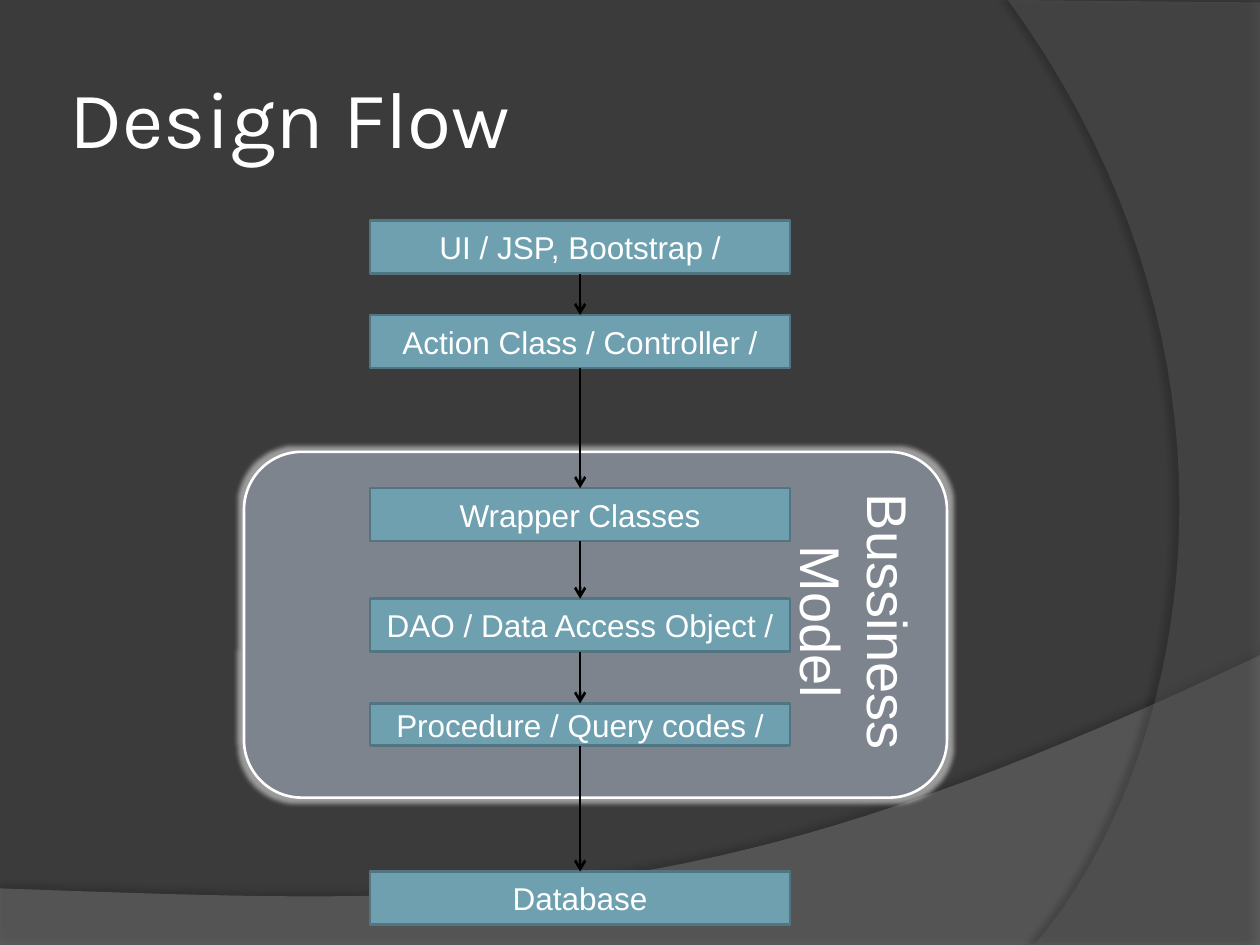
from lxml.etree import SubElement
from pptx import Presentation
from pptx.dml.color import RGBColor
from pptx.enum.shapes import MSO_CONNECTOR, MSO_SHAPE
from pptx.enum.text import MSO_ANCHOR, MSO_AUTO_SIZE, PP_ALIGN
from pptx.oxml.ns import qn
from pptx.util import Cm, Pt

WHITE = RGBColor(0xFF, 0xFF, 0xFF)
BLACK = RGBColor(0, 0, 0)
DARK = RGBColor(0x3B, 0x3B, 0x3B)
WAVE = RGBColor(0x7F, 0x7F, 0x7F)
ARC = RGBColor(0x5E, 0x5E, 0x5E)
TEAL = RGBColor(0x6E, 0xA0, 0xB0)
EDGE = RGBColor(0x51, 0x76, 0x82)
SLATE = RGBColor(0x7E, 0x84, 0x8D)

LEFT, WIDTH, HIGH = 7.46, 8.47, 1.07
# Label, top and height of each step, in cm
STEPS = [
    ("UI / JSP, Bootstrap /", 4.45, HIGH),
    ("Action Class / Controller /", 6.35, HIGH),
    ("Wrapper Classes", 9.84, HIGH),
    ("DAO / Data Access Object /", 12.07, HIGH),
    ("Procedure / Query codes /", 14.18, 0.85),
    ("Database", 17.57, HIGH),
]


def add_effect(shape, kind, color, alpha, **attrs):
    """Give the shape one glow or shadow."""
    shape.shadow.inherit = False
    effects = shape._element.spPr.find(qn("a:effectLst"))
    effect = SubElement(effects, qn(f"a:{kind}"), attrs)
    tint = SubElement(effect, qn("a:srgbClr"), val=str(color))
    SubElement(tint, qn("a:alpha"), val=str(alpha * 1000))


def curve(p0, p1, p2, p3, count=40):
    """Points along a cubic curve."""
    points = []
    for step in range(count + 1):
        t = step / count
        u = 1 - t
        points.append(tuple(
            u**3 * a + 3 * u * u * t * b + 3 * u * t * t * c + t**3 * d
            for a, b, c, d in zip(p0, p1, p2, p3)))
    return points


def add_sweep(slide, points, color, alpha, shade, dist, angle):
    """Draw a translucent background shape."""
    start, *rest = [(Cm(x), Cm(y)) for x, y in points]
    pen = slide.shapes.build_freeform(*start)
    pen.add_line_segments(rest, close=True)
    sweep = pen.convert_to_shape()
    sweep.fill.solid()
    sweep.fill.fore_color.rgb = color
    tint = sweep._element.spPr.find(qn("a:solidFill"))[0]
    SubElement(tint, qn("a:alpha"), val=str(alpha * 1000))
    sweep.line.fill.background()
    add_effect(sweep, "outerShdw", BLACK, shade, blurRad=str(Pt(4)),
               dist=str(Pt(dist)), dir=str(angle * 60000),
               algn="ctr", rotWithShape="0")


def add_text(frame, text, font, size, align):
    para = frame.paragraphs[0]
    para.alignment = align
    run = para.add_run()
    run.text = text
    run.font.name = font
    run.font.size = Pt(size)
    run.font.color.rgb = WHITE


def add_box(slide, kind, place, text, size, fill, edge):
    box = slide.shapes.add_shape(kind, *[Cm(n) for n in place])
    box.shadow.inherit = False
    box.fill.solid()
    box.fill.fore_color.rgb = fill
    box.line.color.rgb = edge
    box.line.width = Pt(1.5)
    frame = box.text_frame
    frame.word_wrap = True
    frame.vertical_anchor = MSO_ANCHOR.MIDDLE
    add_text(frame, text, "Arial", size, PP_ALIGN.CENTER)
    return box


def add_arrow(slide, upper, lower):
    """Link the bottom of one box to the top of the next."""
    arrow = slide.shapes.add_connector(MSO_CONNECTOR.STRAIGHT, 0, 0, 0, 0)
    arrow.begin_connect(upper, 2)
    arrow.end_connect(lower, 0)
    arrow.line.color.rgb = BLACK
    arrow.line.width = Pt(1.5)
    SubElement(arrow.line._get_or_add_ln(), qn("a:tailEnd"), type="arrow")
    SubElement(arrow._element.spPr, qn("a:effectLst"))


def add_title(slide, text):
    title = slide.shapes.title
    title.left, title.top = Cm(1.27), Cm(0.76)
    title.width, title.height = Cm(20.75), Cm(3.18)
    frame = title.text_frame
    frame.auto_size = MSO_AUTO_SIZE.NONE
    frame.vertical_anchor = MSO_ANCHOR.MIDDLE
    frame.margin_left = frame.margin_right = Cm(0.13)
    add_text(frame, text, "Karla", 46, PP_ALIGN.LEFT)
    # Bring the title in front of the background
    slide.shapes._spTree.append(title._element)


def add_model(slide):
    """Draw the panel whose text runs down its right side."""
    model = add_box(slide, MSO_SHAPE.ROUNDED_RECTANGLE,
                    (4.92, 9.11, 14.17, 6.97), "Bussiness Model",
                    32, SLATE, WHITE)
    add_effect(model, "glow", WHITE, 50, rad=str(Pt(5)))
    frame = model.text_frame
    frame.vertical_anchor = MSO_ANCHOR.TOP
    frame.margin_top = frame.margin_right = Cm(0.13)
    frame._txBody.bodyPr.set("vert", "vert")


def main():
    deck = Presentation()
    deck.slide_width, deck.slide_height = Cm(25.4), Cm(19.05)
    slide = deck.slides.add_slide(deck.slide_layouts[5])

    # Background
    slide.background.fill.solid()
    slide.background.fill.fore_color.rgb = DARK
    wave = curve((25.4, 13.21), (14.2, 18.52), (9.93, 18.26), (0, 17.91))
    add_sweep(slide, [(0, 19.05), (25.4, 19.05)] + wave,
              WAVE, 45, 35, 3.5, 270)
    arc = curve((20.85, 19.05), (23.75, 15.72), (25.86, 7.62), (20.32, 0))
    add_sweep(slide, [(25.4, 0.05), (25.4, 19.05)] + arc,
              ARC, 40, 45, 4, 180)

    # Title and panel
    add_title(slide, "Design Flow")
    add_model(slide)

    # Steps and arrows
    boxes = [add_box(slide, MSO_SHAPE.RECTANGLE, (LEFT, top, WIDTH, high),
                     text, 18, TEAL, EDGE)
             for text, top, high in STEPS]
    for upper, lower in zip(boxes, boxes[1:]):
        add_arrow(slide, upper, lower)

    deck.save("out.pptx")


main()
